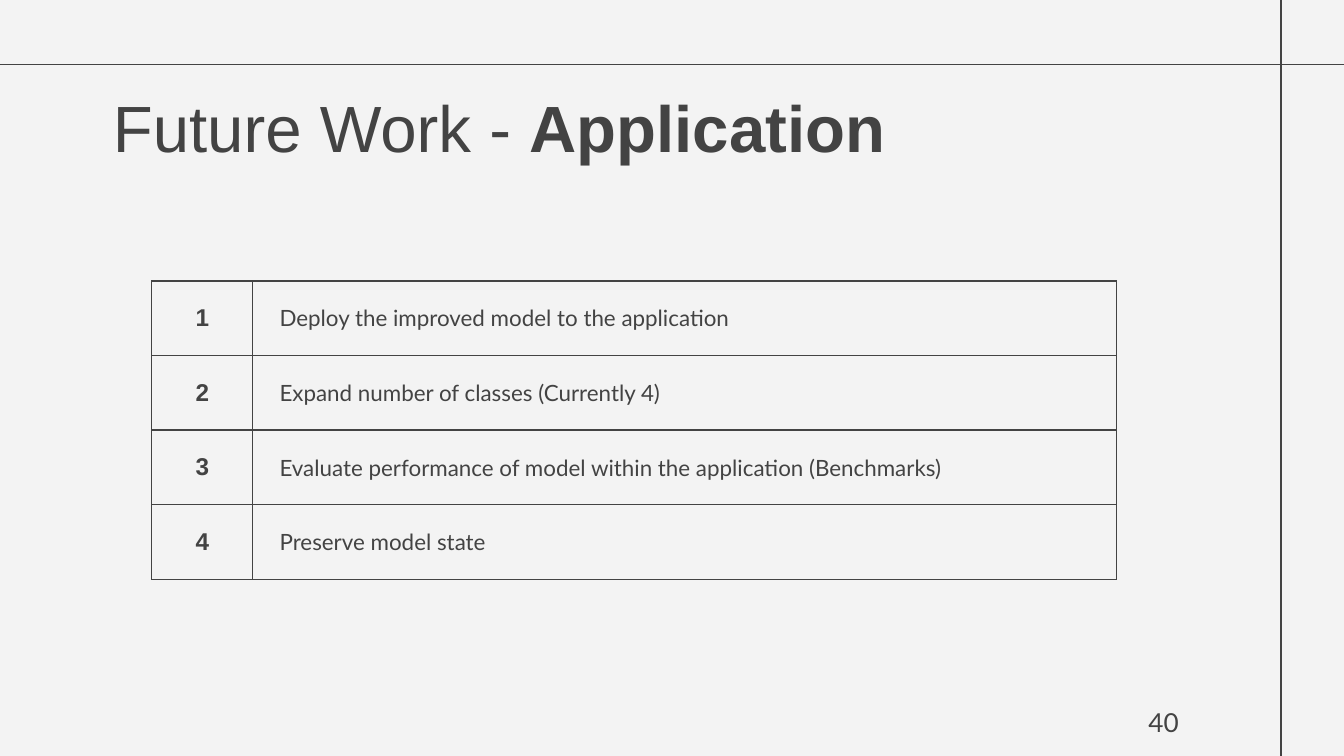
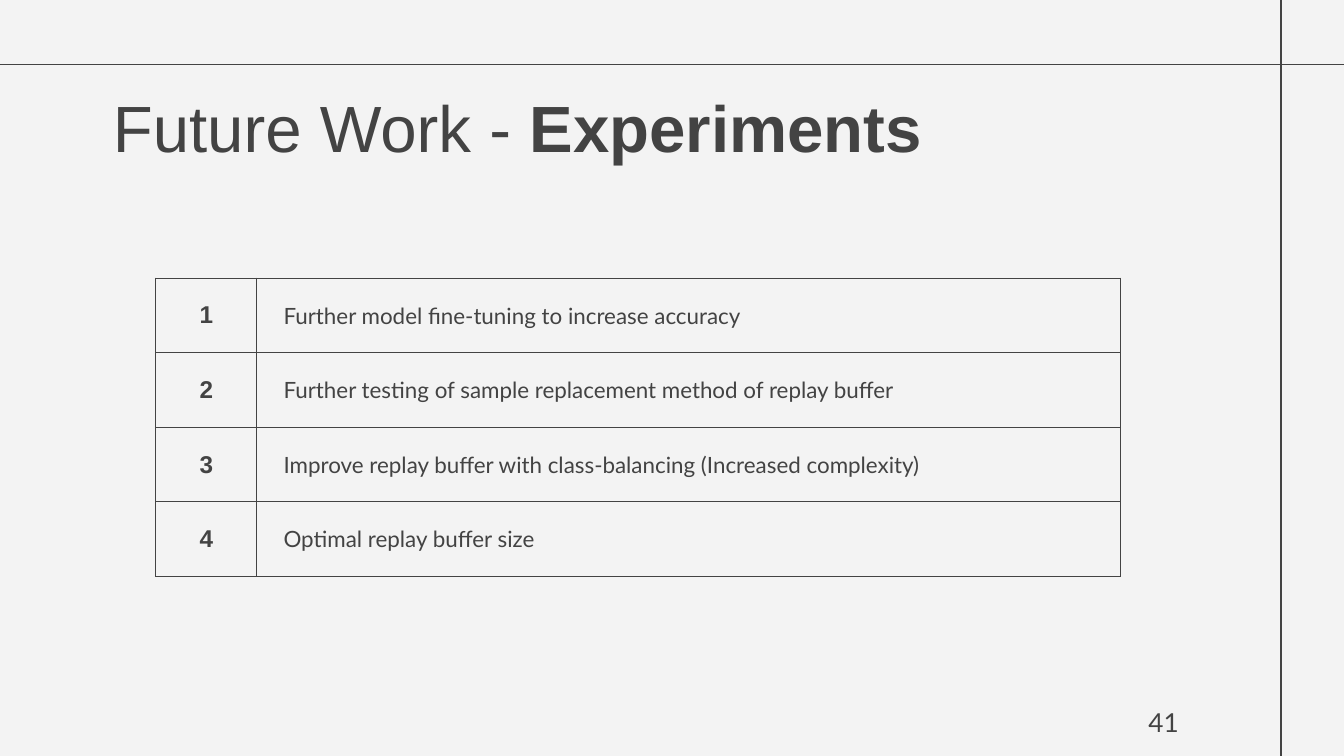
from dataclasses import dataclass

from lxml.etree import SubElement
from pptx import Presentation
from pptx.dml.color import RGBColor
from pptx.enum.shapes import MSO_CONNECTOR
from pptx.enum.text import MSO_ANCHOR, MSO_AUTO_SIZE, PP_ALIGN
from pptx.oxml.ns import qn
from pptx.util import Inches, Pt


@dataclass(frozen=True)
class Theme:
    paper: RGBColor = RGBColor(0xF3, 0xF3, 0xF3)
    ink: RGBColor = RGBColor(0x43, 0x43, 0x43)
    heading_font: str = "Arial"
    body_font: str = "Lato"
    title_size: int = 35
    page_size: int = 14
    number_size: int = 13
    body_size: int = 12
    line_width: float = 0.75


THEME = Theme()
TITLE_BOX = (0.74, 0.55, 8.67, 0.53)
PAGE_BOX = (8.27, 5.16, 0.6, 0.43)
FRAME_LINES = [(9.53, -0.02, 9.53, 5.64), (10.05, 0.48, -0.05, 0.48)]
NUMBER_WIDTH = 0.75

SLIDES = [
    ("Application", 40, (1.13, 2.09, 7.18, 2.22), [
        "Deploy the improved model to the application",
        "Expand number of classes (Currently 4)",
        "Evaluate performance of model within the application (Benchmarks)",
        "Preserve model state",
    ]),
    ("Experiments", 41, (1.16, 2.07, 7.18, 2.22), [
        "Further model fine-tuning to increase accuracy",
        "Further testing of sample replacement method of replay buffer",
        "Improve replay buffer with class-balancing (Increased complexity)",
        "Optimal replay buffer size",
    ]),
]


def style_font(font, name, size, bold=False):
    font.name = name
    font.size = Pt(size)
    font.bold = bold
    font.color.rgb = THEME.ink


def set_margins(target, left, top, right, bottom):
    target.margin_left, target.margin_top = Inches(left), Inches(top)
    target.margin_right, target.margin_bottom = Inches(right), Inches(bottom)


def add_frame_lines(s):
    for ends in FRAME_LINES:
        line = s.shapes.add_connector(MSO_CONNECTOR.STRAIGHT, *map(Inches, ends))
        line.line.color.rgb = THEME.ink
        line.line.width = Pt(THEME.line_width)
        SubElement(line._element.spPr, qn("a:effectLst"))


def set_title(s, box, topic):
    title = s.shapes.title
    title.left, title.top, title.width, title.height = map(Inches, box)
    tf = title.text_frame
    tf.auto_size = MSO_AUTO_SIZE.NONE
    tf.vertical_anchor = MSO_ANCHOR.TOP
    set_margins(tf, 0.1, 0.1, 0.1, 0.1)
    p = tf.paragraphs[0]
    p.alignment = PP_ALIGN.LEFT
    for text, bold in (("Future Work - ", False), (topic, True)):
        r = p.add_run()
        r.text = text
        style_font(r.font, THEME.heading_font, THEME.title_size, bold)


def add_page_number(s, box, number):
    tf = s.shapes.add_textbox(*map(Inches, box)).text_frame
    tf.word_wrap = True
    set_margins(tf, 0.1, 0.1, 0.1, 0.1)
    tf.text = str(number)
    p = tf.paragraphs[0]
    p.alignment = PP_ALIGN.RIGHT
    style_font(p.runs[0].font, THEME.body_font, THEME.page_size)


def add_borders(cell):
    tc_pr = cell._tc.get_or_add_tcPr()
    for side in ("lnL", "lnR", "lnT", "lnB"):
        ln = SubElement(tc_pr, qn(f"a:{side}"), w=str(Pt(THEME.line_width)))
        fill = SubElement(ln, qn("a:solidFill"))
        SubElement(fill, qn("a:srgbClr"), val=str(THEME.ink))


def fill_cell(cell, text, left_margin, align, font, size, bold=False):
    add_borders(cell)
    cell.fill.background()
    cell.vertical_anchor = MSO_ANCHOR.MIDDLE
    set_margins(cell, left_margin, 0.07, 0.1, 0.07)
    cell.text_frame.text = text
    p = cell.text_frame.paragraphs[0]
    p.alignment = align
    style_font(p.runs[0].font, font, size, bold)


def add_numbered_table(s, box, items):
    table = s.shapes.add_table(len(items), 2, *map(Inches, box)).table
    table.first_row = table.horz_banding = False
    table.columns[0].width = Inches(NUMBER_WIDTH)
    table.columns[1].width = Inches(box[2] - NUMBER_WIDTH)
    for i, item in enumerate(items):
        fill_cell(table.cell(i, 0), str(i + 1), 0.1, PP_ALIGN.CENTER,
                  THEME.heading_font, THEME.number_size, bold=True)
        fill_cell(table.cell(i, 1), item, 0.2, PP_ALIGN.LEFT,
                  THEME.body_font, THEME.body_size)


def add_future_work_slide(prs, topic, number, table_box, items):
    s = prs.slides.add_slide(prs.slide_layouts.get_by_name("Title Only"))
    add_frame_lines(s)
    set_title(s, TITLE_BOX, topic)
    add_page_number(s, PAGE_BOX, number)
    add_numbered_table(s, table_box, items)


def main():
    prs = Presentation()
    prs.slide_width = Inches(10)
    prs.slide_height = prs.slide_width * 9 // 16
    fill = prs.slide_master.background.fill
    fill.solid()
    fill.fore_color.rgb = THEME.paper
    for content in SLIDES:
        add_future_work_slide(prs, *content)
    prs.save("out.pptx")


if __name__ == "__main__":
    main()
